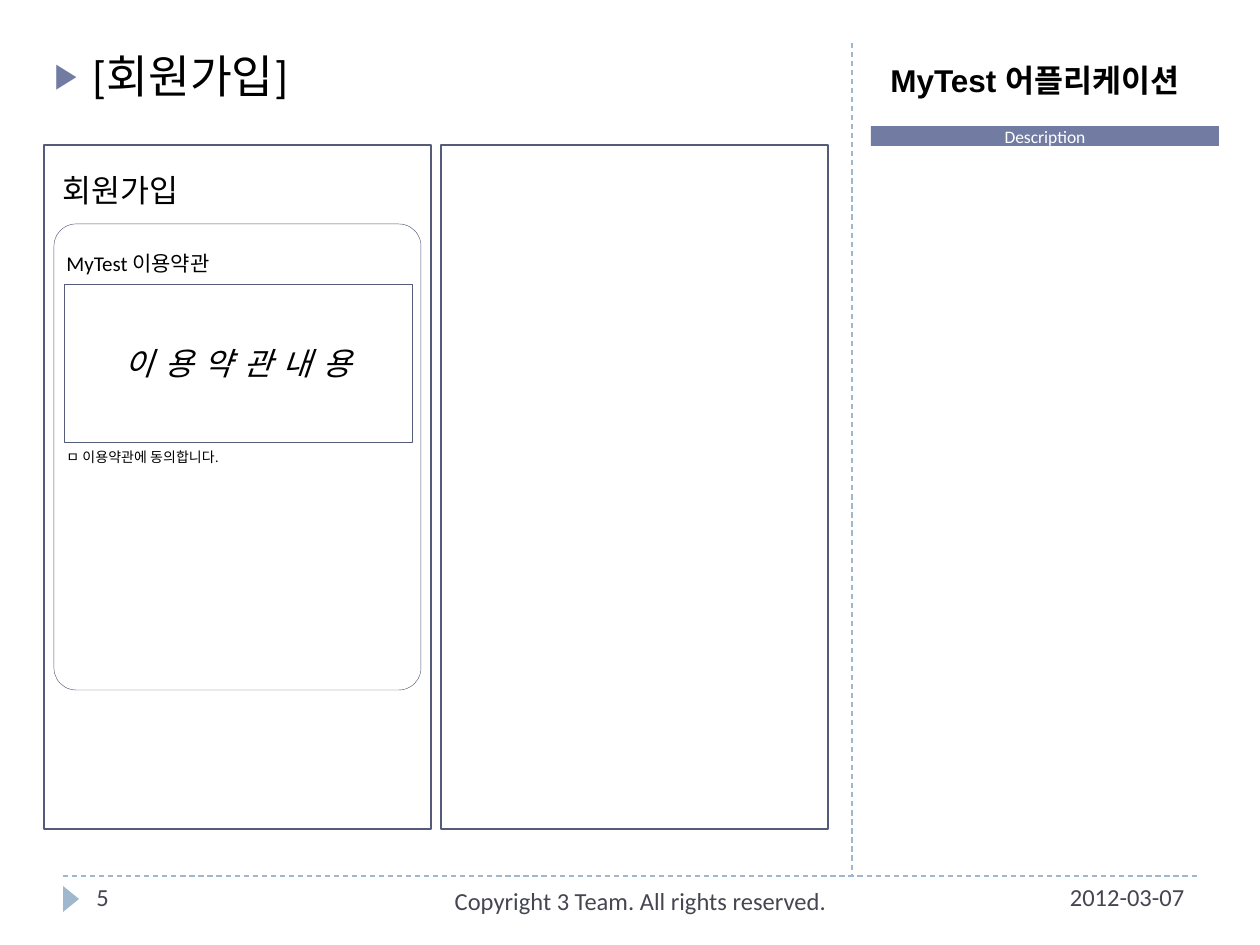
from dataclasses import dataclass

from lxml.etree import SubElement
from pptx import Presentation
from pptx.dml.color import RGBColor
from pptx.enum.dml import MSO_LINE_DASH_STYLE as Dash
from pptx.enum.shapes import MSO_CONNECTOR as Connector, MSO_SHAPE as Shape
from pptx.enum.text import MSO_ANCHOR as Anchor, MSO_AUTO_SIZE as AutoSize, PP_ALIGN as Align
from pptx.oxml.ns import qn
from pptx.util import Pt

EMU_PER_PX = 914400 / 126


def px(length):
    return round(length * EMU_PER_PX)


@dataclass(frozen=True)
class Theme:
    black: str = "000000"
    white: str = "FFFFFF"
    muted: str = "464653"
    accent: str = "727CA3"
    outline: str = "545C79"
    guide: str = "9FB8CD"
    font: str = "Calibri"
    heading_font: str = "Arial"
    title: int = 26
    heading: int = 18
    footer: int = 14
    label: int = 12
    caption: int = 10
    small: int = 8


class Wireframe:
    def __init__(self, slide, theme):
        self.slide = slide
        self.theme = theme

    def set_text(self, shape, text, size, color=None, font=None, align=Align.LEFT,
                 anchor=Anchor.TOP, bold=False, italic=False):
        frame = shape.text_frame
        frame.text = text
        frame.vertical_anchor = anchor
        paragraph = frame.paragraphs[0]
        paragraph.alignment = align
        style = paragraph.runs[0].font
        style.name = font or self.theme.font
        style.size = Pt(size)
        style.bold = bold
        style.italic = italic
        style.color.rgb = RGBColor.from_string(color or self.theme.black)
        return paragraph

    def text(self, box, text, size, wrap=True, **style):
        """Add a text box; without wrapping it grows to fit its text."""
        shape = self.slide.shapes.add_textbox(*map(px, box))
        shape.text_frame.word_wrap = wrap
        shape.text_frame.auto_size = AutoSize.NONE if wrap else AutoSize.SHAPE_TO_FIT_TEXT
        return self.set_text(shape, text, size, **style)

    def shape(self, kind, box, fill=None, line=None, width=0.25):
        shape = self.slide.shapes.add_shape(kind, *map(px, box))
        shape.shadow.inherit = False
        if fill:
            shape.fill.solid()
            shape.fill.fore_color.rgb = RGBColor.from_string(fill)
        else:
            shape.fill.background()
        if line:
            shape.line.color.rgb = RGBColor.from_string(line)
            shape.line.width = Pt(width)
        else:
            shape.line.fill.background()
        return shape

    def guide(self, *ends):
        connector = self.slide.shapes.add_connector(Connector.STRAIGHT, *map(px, ends))
        connector.line.color.rgb = RGBColor.from_string(self.theme.guide)
        connector.line.width = Pt(0.75)
        connector.line.dash_style = Dash.DASH
        SubElement(connector._element.spPr, qn("a:effectLst"))

    def bullet(self, paragraph, character, color, percent, indent):
        properties = paragraph._p.get_or_add_pPr()
        properties.set("marL", str(px(indent)))
        properties.set("indent", str(-px(indent)))
        bullet_color = SubElement(properties, qn("a:buClr"))
        SubElement(bullet_color, qn("a:srgbClr"), val=color)
        SubElement(properties, qn("a:buSzPct"), val=str(percent * 1000))
        SubElement(properties, qn("a:buFont"), typeface=self.theme.heading_font)
        SubElement(properties, qn("a:buChar"), char=character)


def draw_frame(page, theme):
    """Draw the guides, the description column and the footer."""
    page.guide(63, 876, 1197, 876)
    page.guide(852, 43, 852, 874)
    marker = page.shape(Shape.ISOSCELES_TRIANGLE, (58, 891, 26, 16), fill=theme.guide)
    marker.rotation = 90

    description = page.shape(Shape.RECTANGLE, (871, 126, 348, 20), fill=theme.accent)
    page.set_text(description, "Description", theme.caption, color=theme.white,
                  align=Align.CENTER, anchor=Anchor.MIDDLE)
    page.text((878, 55, 335, 50), "MyTest 어플리케이션", theme.heading, wrap=False,
              font=theme.heading_font, bold=True)

    footer = (
        (882, 315, "2012-03-07", Align.RIGHT, Anchor.TOP),
        (399, 483, "Copyright 3 Team. All rights reserved.", Align.CENTER, Anchor.MIDDLE),
        (84, 273, "5", Align.LEFT, Anchor.TOP),
    )
    for left, width, text, align, anchor in footer:
        page.text((left, 876, width, 50), text, theme.footer, color=theme.muted,
                  align=align, anchor=anchor)


def draw_sign_up(page, theme):
    title = page.text((42, 42, 788, 788), "[회원가입]", theme.title)
    title.space_before = Pt(6)
    page.bullet(title, "▶", theme.accent, 76, 38)

    for left in (44, 441):
        page.shape(Shape.RECTANGLE, (left, 145, 387, 684), line=theme.outline, width=1.5)
    card = page.shape(Shape.ROUNDED_RECTANGLE, (54, 224, 367, 466), line=theme.outline)
    card.adjustments[0] = 0.06

    page.text((50, 165, 152, 50), "회원가입", theme.heading, wrap=False)
    page.text((54, 244, 178, 38), "MyTest 이용약관", theme.label, wrap=False)
    terms = page.shape(Shape.RECTANGLE, (64, 284, 348, 158), line=theme.outline)
    paragraph = page.set_text(terms, "이용약관내용", theme.heading, italic=True,
                              align=Align.CENTER, anchor=Anchor.MIDDLE)
    paragraph.runs[0].font._element.set("spc", "600")
    page.text((54, 442, 192, 30), "ㅁ 이용약관에 동의합니다.", theme.small, wrap=False)


def main():
    presentation = Presentation()
    presentation.slide_width = px(1260)
    presentation.slide_height = px(945)
    theme = Theme()
    page = Wireframe(presentation.slides.add_slide(presentation.slide_layouts[6]), theme)
    draw_frame(page, theme)
    draw_sign_up(page, theme)
    presentation.save("out.pptx")


if __name__ == "__main__":
    main()
